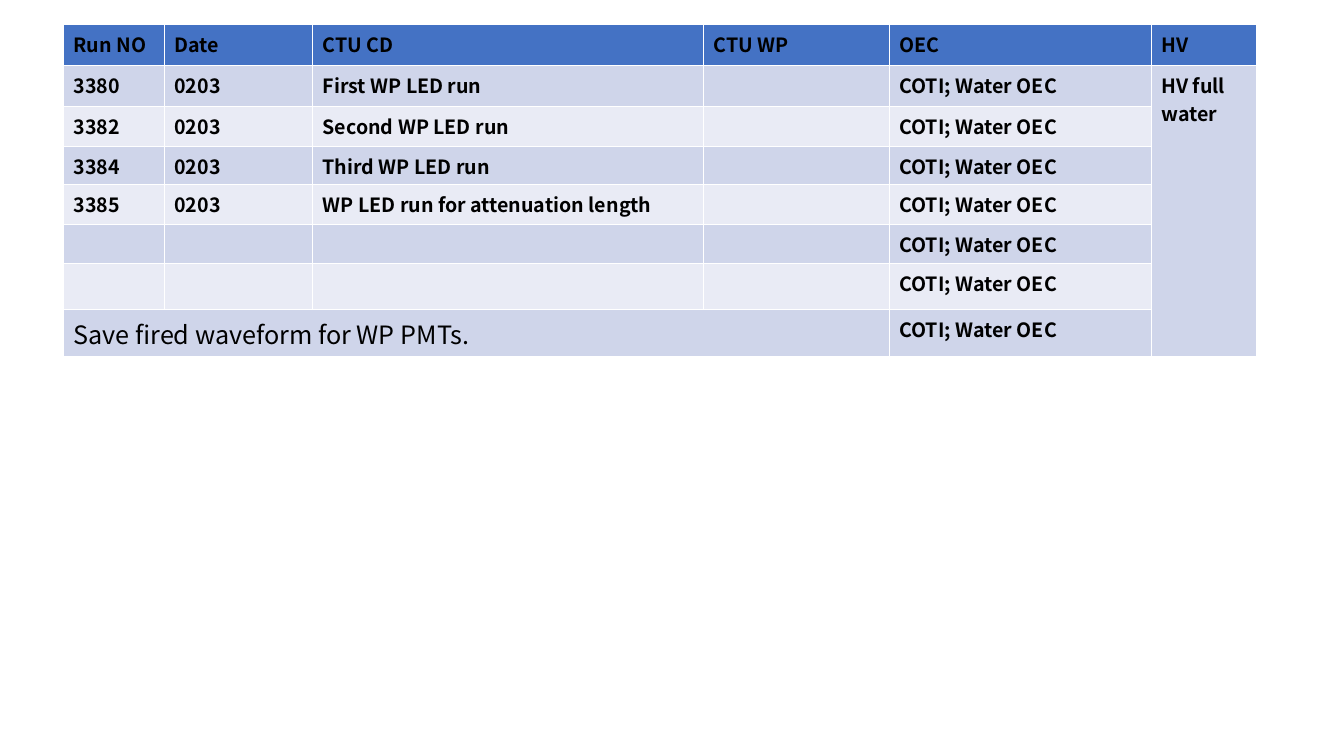
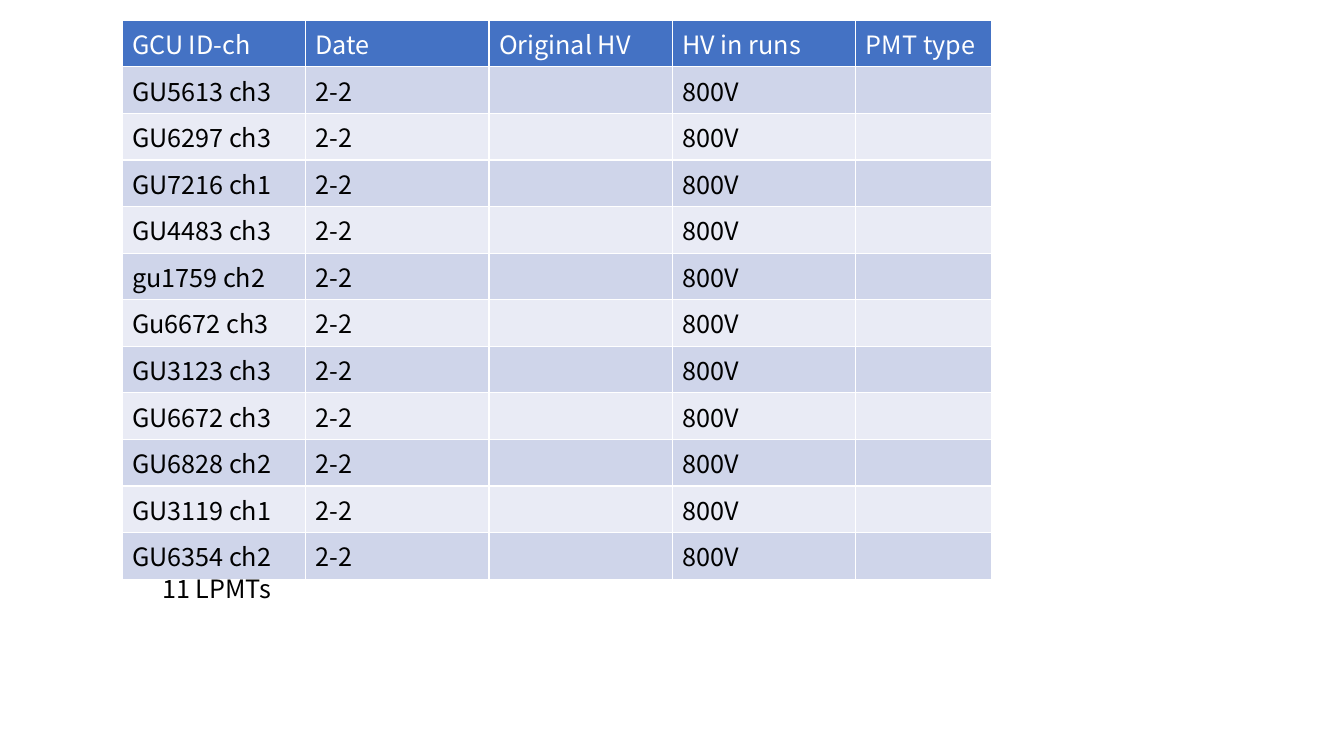
from lxml import etree
from pptx import Presentation
from pptx.dml.color import RGBColor
from pptx.oxml.ns import qn
from pptx.util import Inches, Pt

FONT = "Noto Sans CJK SC"
BLACK = RGBColor(0x00, 0x00, 0x00)
WHITE = RGBColor(0xFF, 0xFF, 0xFF)
HEADER = RGBColor(0x44, 0x72, 0xC4)
BANDS = (RGBColor(0xCF, 0xD5, 0xEA), RGBColor(0xE9, 0xEB, 0xF5))
BLANK_LAYOUT = 6

RUN_HEAD = ("Run NO", "Date", "CTU CD", "CTU WP", "OEC", "HV")
RUNS = [
    ("3380", "0203", "First WP LED run"),
    ("3382", "0203", "Second WP LED run"),
    ("3384", "0203", "Third WP LED run"),
    ("3385", "0203", "WP LED run for attenuation length"),
    ("", "", ""),
    ("", "", ""),
    ("", "", ""),
]
OEC = "COTI; Water OEC"
HV_NOTE = "HV full water"
WAVEFORM_NOTE = "Save fired waveform for WP PMTs."
RUN_COLS = (1, 1.47, 3.88, 1.84, 2.6, 1.04)
RUN_ROWS = (0.41, 0.41, 0.39, 0.38, 0.39, 0.39, 0.46, 0.46)

PMT_HEAD = ("GCU ID-ch", "Date", "Original HV", "HV in runs", "PMT type")
CHANNELS = (
    "GU5613 ch3", "GU6297 ch3", "GU7216 ch1", "GU4483 ch3",
    "gu1759 ch2", "Gu6672 ch3", "GU3123 ch3", "GU6672 ch3",
    "GU6828 ch2", "GU3119 ch1", "GU6354 ch2",
)
PMT_COLS = (1.82, 1.82, 1.82, 1.82, 1.35)
PMT_ROW = 0.46
PMT_COUNT = "11 LPMTs"


def write(tf, text, size, color=BLACK, bold=False):
    p = tf.paragraphs[0]
    if not text:
        etree.SubElement(p._p, qn("a:endParaRPr"), sz=str(size * 100))
        return
    r = p.add_run()
    r.text = text
    r.font.name = FONT
    r.font.size = Pt(size)
    r.font.bold = bold
    r.font.color.rgb = color


def add_grid(s, left, top, cols, heights, rows, size, head_color, bold):
    table = s.shapes.add_table(
        len(rows), len(cols), Inches(left), Inches(top),
        Inches(sum(cols)), Inches(sum(heights))).table
    for column, width in zip(table.columns, cols):
        column.width = Inches(width)
    for i, (row, height, texts) in enumerate(zip(table.rows, heights, rows)):
        row.height = Inches(height)
        for cell, text in zip(row.cells, texts):
            cell.fill.solid()
            cell.fill.fore_color.rgb = BANDS[(i - 1) % 2] if i else HEADER
            write(cell.text_frame, text, size, BLACK if i else head_color, bold)
    return table


def add_runs_slide(prs):
    s = prs.slides.add_slide(prs.slide_layouts[BLANK_LAYOUT])
    rows = [RUN_HEAD] + [
        (*run, "", OEC, "" if i else HV_NOTE) for i, run in enumerate(RUNS)]
    table = add_grid(s, 0.63, 0.24, RUN_COLS, RUN_ROWS, rows, 14, BLACK, True)
    last = len(RUNS)
    table.cell(1, 5).merge(table.cell(last, 5))
    note = table.cell(last, 0)
    note.merge(table.cell(last, 3))
    note.text_frame.clear()
    write(note.text_frame, WAVEFORM_NOTE, 18)


def add_channels_slide(prs):
    s = prs.slides.add_slide(prs.slide_layouts[BLANK_LAYOUT])
    rows = [PMT_HEAD] + [(name, "2-2", "", "800V", "") for name in CHANNELS]
    add_grid(s, 1.21, 0.2, PMT_COLS, [PMT_ROW] * len(rows), rows, 18, WHITE, False)
    box = s.shapes.add_textbox(Inches(1.51), Inches(5.64), Inches(2.68), Inches(0.4))
    box.text_frame.word_wrap = True
    write(box.text_frame, PMT_COUNT, 18)


def main():
    prs = Presentation()
    prs.slide_width = Inches(13.33)
    prs.slide_height = Inches(7.5)
    add_runs_slide(prs)
    add_channels_slide(prs)
    prs.save("out.pptx")


if __name__ == "__main__":
    main()
